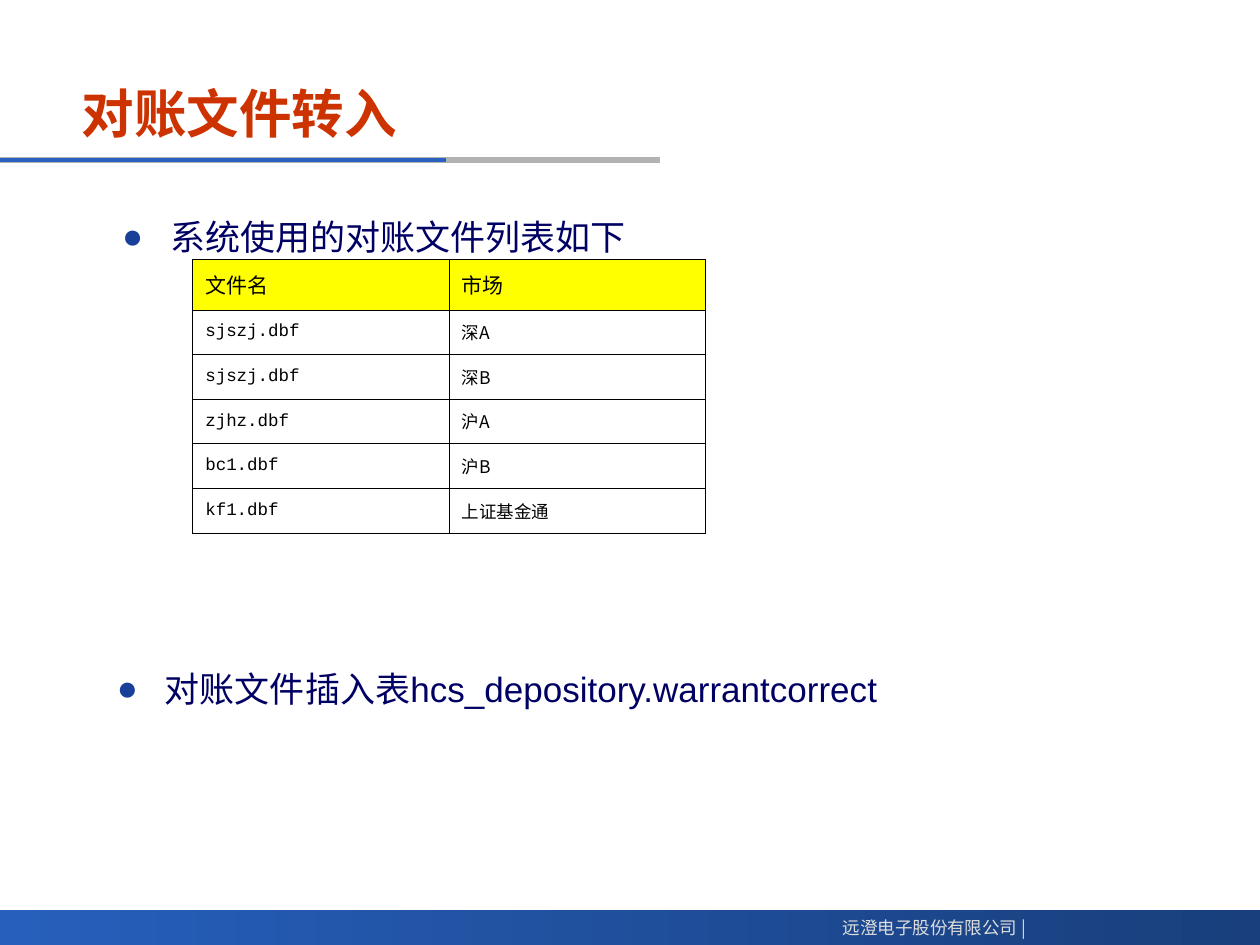
from lxml.etree import SubElement
from pptx import Presentation
from pptx.dml.color import RGBColor
from pptx.enum.shapes import MSO_CONNECTOR, MSO_SHAPE
from pptx.enum.text import MSO_ANCHOR, MSO_AUTO_SIZE, PP_ALIGN
from pptx.oxml import parse_xml
from pptx.oxml.ns import nsdecls, qn
from pptx.util import Inches, Pt

CJK = "Noto Sans CJK SC"
TITLE = {"size": Pt(30), "name": "Arial", "bold": True}
BODY = {"size": Pt(20), "name": "Arial"}
HEAD = {"size": Pt(12), "name": CJK, "bold": False}
CODE = {"size": Pt(10), "name": "Courier New", "bold": False}
NOTE = {"size": Pt(10), "name": CJK, "bold": False}

FILES = [
    ("文件名", "市场"),
    ("sjszj.dbf", "深A"),
    ("sjszj.dbf", "深B"),
    ("zjhz.dbf", "沪A"),
    ("bc1.dbf", "沪B"),
    ("kf1.dbf", "上证基金通"),
]


def tint(code):
    """Turn a hex string into a colour."""
    return RGBColor.from_string(code)


class Page:
    """Hold the style and the current slide."""

    def __init__(self, deck):
        """Add a title and content slide."""
        self.slide = deck.slides.add_slide(deck.slide_layouts[1])
        self.shapes = self.slide.shapes

    def label(self, para, text, style, color):
        """Put one styled run into a paragraph."""
        run = para.add_run()
        run.text = text
        for key, value in style.items():
            setattr(run.font, key, value)
        run.font.color.rgb = tint(color)
        SubElement(run._r.get_or_add_rPr(), qn("a:ea"), typeface=CJK)

    def place(self, shape, box):
        """Move a shape to a box in inches."""
        for key, value in zip(("left", "top", "width", "height"), box):
            setattr(shape, key, Inches(value))

    def title(self, text, box):
        """Fill the title placeholder."""
        shape = self.shapes.title
        self.place(shape, box)
        frame = shape.text_frame
        frame.auto_size = MSO_AUTO_SIZE.NONE
        frame.vertical_anchor = MSO_ANCHOR.MIDDLE
        para = frame.paragraphs[0]
        para.alignment = PP_ALIGN.LEFT
        self.label(para, text, TITLE, "CC3300")

    def bullet(self, shape, text, box):
        """Set a bulleted line in a shape."""
        self.place(shape, box)
        frame = shape.text_frame
        frame.word_wrap = True
        frame.auto_size = MSO_AUTO_SIZE.NONE
        para = frame.paragraphs[0]
        para.space_before, para.space_after = Pt(0), Pt(5)
        props = para._p.get_or_add_pPr()
        props.set("marL", str(Inches(0.38)))
        props.set("indent", str(-Inches(0.38)))
        color = SubElement(props, qn("a:buClr"))
        SubElement(color, qn("a:srgbClr"), val="184098")
        SubElement(props, qn("a:buFont"), typeface="Arial")
        SubElement(props, qn("a:buChar"), char="●")
        self.label(para, text, BODY, "000064")

    def body(self, text, box):
        """Fill the body placeholder."""
        self.bullet(self.slide.placeholders[1], text, box)

    def item(self, text, box):
        """Add a bulleted text box."""
        self.bullet(self.shapes.add_textbox(0, 0, 0, 0), text, box)

    def band(self, box, stops):
        """Add a bar with a gradient running from right to left."""
        shape = self.shapes.add_shape(MSO_SHAPE.RECTANGLE, *map(Inches, box))
        shape.shadow.inherit = False
        shape.line.fill.background()
        shape.fill.gradient()
        shape.fill.gradient_angle = 180
        for stop, color in zip(shape.fill.gradient_stops, stops):
            stop.color.rgb = tint(color)

    def rule(self, end, top, color, width):
        """Draw a level line from the left edge."""
        ends = map(Inches, (0, top, end, top))
        line = self.shapes.add_connector(MSO_CONNECTOR.STRAIGHT, *ends)
        line.line.color.rgb = tint(color)
        line.line.width = Pt(width)
        SubElement(line._element.spPr, qn("a:effectLst"))

    def note(self, text, box):
        """Add a right-aligned footer."""
        shape = self.shapes.add_textbox(*map(Inches, box))
        shape.text_frame.word_wrap = False
        para = shape.text_frame.paragraphs[0]
        para.alignment = PP_ALIGN.RIGHT
        self.label(para, text, NOTE, "DDDDDD")

    def edge(self, cell):
        """Draw thin black borders round a cell."""
        props = cell._tc.get_or_add_tcPr()
        for spot, side in enumerate("LRTB"):
            props.insert(spot, parse_xml(
                f'<a:ln{side} {nsdecls("a")} w="{Pt(0.45)}"><a:solidFill>'
                f'<a:srgbClr val="000000"/></a:solidFill></a:ln{side}>'))

    def table(self, rows, box, top):
        """Add a table whose first row has its own height."""
        size = len(rows), len(rows[0])
        grid = self.shapes.add_table(*size, *map(Inches, box)).table
        for r, row in enumerate(rows):
            high = top if r == 0 else (box[3] - top) / (len(rows) - 1)
            grid.rows[r].height = Inches(high)
            for c, text in enumerate(row):
                cell = grid.cell(r, c)
                cell.vertical_anchor = MSO_ANCHOR.MIDDLE
                cell.fill.solid()
                cell.fill.fore_color.rgb = tint("FFFFFF" if r else "FFFF00")
                self.edge(cell)
                style = (CODE, NOTE)[c] if r else HEAD
                para = cell.text_frame.paragraphs[0]
                self.label(para, text, style, "000000")


def main():
    """Build and save the slide."""
    deck = Presentation()
    deck.slide_width, deck.slide_height = Inches(10), Inches(7.5)
    page = Page(deck)
    page.band((0, 7.22, 10, 0.28), ("193F7C", "265FBC"))
    page.rule(5.24, 1.27, "B2B2B2", 3)
    page.rule(3.54, 1.27, "2A60C0", 2.25)
    page.note("远澄电子股份有限公司 |", (6.53, 7.23, 1.71, 0.27))
    page.title("对账文件转入", (0.55, 0.56, 6.92, 0.67))
    page.body("系统使用的对账文件列表如下", (0.87, 1.66, 8.39, 0.71))
    page.table(FILES, (1.53, 2.06, 4.07, 2.17), 0.4)
    page.item("对账文件插入表hcs_depository.warrantcorrect",
              (0.83, 5.25, 8.39, 0.71))
    deck.save("out.pptx")


if __name__ == "__main__":
    main()
